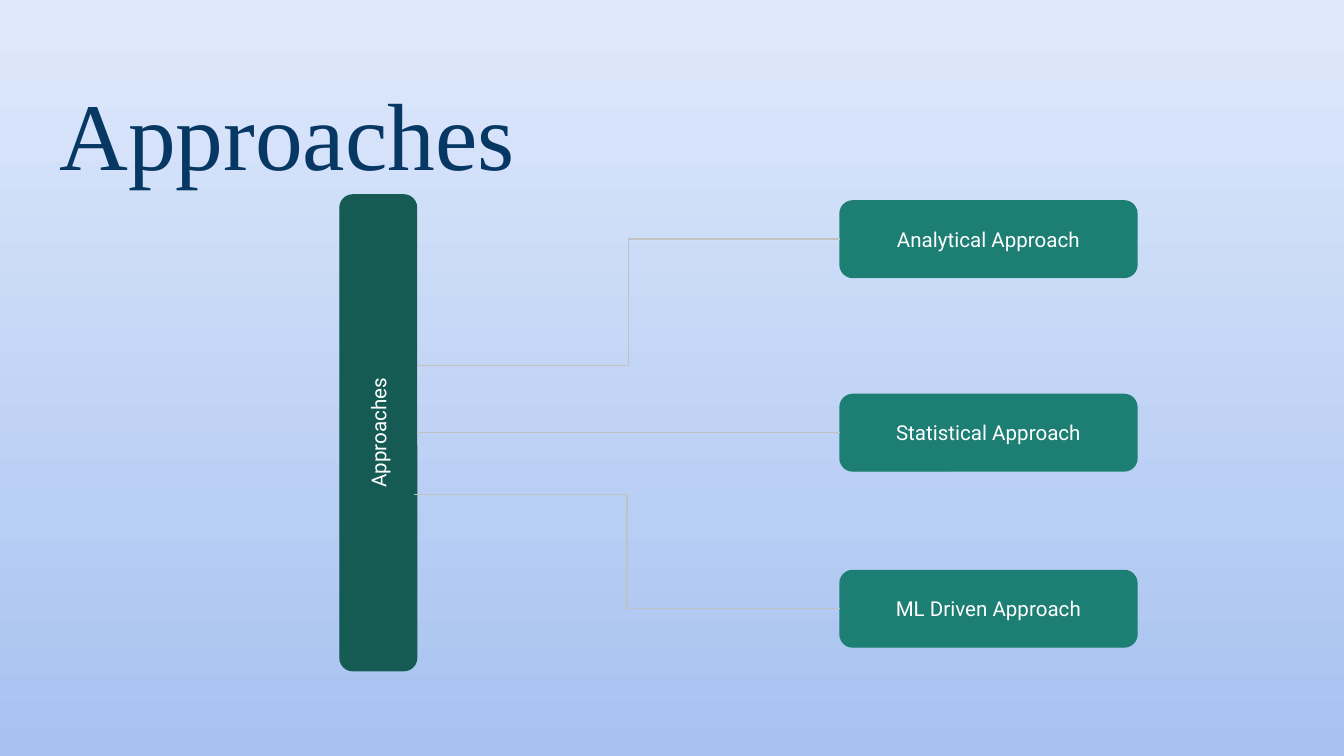
from collections import namedtuple
from dataclasses import dataclass

from lxml import etree
from pptx import Presentation
from pptx import util as u
from pptx.dml.color import RGBColor
from pptx.enum import shapes, text
from pptx.oxml.ns import qn

Box = namedtuple("Box", "left top width height")


@dataclass(frozen=True)
class Theme:
    sky_top: str = "DFE9FB"
    sky_bottom: str = "A7C2F1"
    title: str = "073763"
    root: str = "155B54"
    branch: str = "1D7E74"
    label: str = "FFFFFF"
    link: str = "C2C2C2"
    title_font: str = "Times New Roman"
    label_font: str = "Roboto"
    title_size: float = 51.1
    label_size: float = 11
    line_width: float = 0.75


THEME = Theme()


def set_margins(frame):
    frame.margin_left = frame.margin_right = u.Inches(0.1)
    frame.margin_top = frame.margin_bottom = u.Inches(0.1)


def add_run(para, words, font, size, color):
    span = para.add_run()
    span.text = words
    span.font.name = font
    span.font.size = u.Pt(size)
    span.font.color.rgb = RGBColor.from_string(color)


def set_background(page):
    fill = page.background.fill
    fill.gradient()
    fill.gradient_angle = 270
    for stop, color in zip(fill.gradient_stops, (THEME.sky_top, THEME.sky_bottom)):
        stop.color.rgb = RGBColor.from_string(color)


def add_title(page, box, words):
    title = page.shapes.title
    title.left, title.top, title.width, title.height = map(u.Inches, box)
    frame = title.text_frame
    frame.auto_size = text.MSO_AUTO_SIZE.NONE
    frame.vertical_anchor = text.MSO_ANCHOR.TOP
    set_margins(frame)
    para = frame.paragraphs[0]
    para.alignment = text.PP_ALIGN.LEFT
    add_run(para, words, THEME.title_font, THEME.title_size, THEME.title)


def add_card(page, box, words, color):
    card = page.shapes.add_shape(
        shapes.MSO_SHAPE.ROUNDED_RECTANGLE, *map(u.Inches, box))
    card.shadow.inherit = False
    card.fill.solid()
    card.fill.fore_color.rgb = RGBColor.from_string(color)
    card.line.color.rgb = RGBColor.from_string(color)
    card.line.width = u.Pt(THEME.line_width)
    frame = card.text_frame
    frame.word_wrap = True
    frame.vertical_anchor = text.MSO_ANCHOR.MIDDLE
    set_margins(frame)
    para = frame.paragraphs[0]
    para.alignment = text.PP_ALIGN.CENTER
    add_run(para, words, THEME.label_font, THEME.label_size, THEME.label)
    return card


def add_link(page, kind, start, end):
    link = page.shapes.add_connector(kind, *map(u.Inches, start + end))
    link.line.color.rgb = RGBColor.from_string(THEME.link)
    link.line.width = u.Pt(THEME.line_width)
    etree.SubElement(link._element.spPr, qn("a:effectLst"))
    return link


def add_tree(page, box, root_words, branches):
    """Draw an upright root bar linked to cards given as (words, centre, link start).

    Centres and link starts are measured from the middle of the bar's right side.
    """
    thick, card_width = 0.57, 2.21
    bar_right = box.left + thick
    middle = box.top + box.height / 2
    # The bar is a lying card turned upright about its centre.
    bar_box = Box(box.left + (thick - box.height) / 2, middle - thick / 2,
                  box.height, thick)
    bar = add_card(page, bar_box, root_words, THEME.root)
    bar.rotation = 270

    card_left = box.left + box.width - card_width
    for words, centre, (start_dx, start_dy) in branches:
        card_middle = middle + centre
        card_box = Box(card_left, card_middle - thick / 2, card_width, thick)
        card = add_card(page, card_box, words, THEME.branch)
        start = (bar_right + start_dx, middle + start_dy)
        end = (card_left, card_middle)
        if centre:
            add_link(page, shapes.MSO_CONNECTOR.ELBOW, start, end)
        else:
            link = add_link(page, shapes.MSO_CONNECTOR.STRAIGHT, start, end)
            link.begin_connect(bar, 2)
            # The bar's turned bottom is its right side.
            link.begin_x, link.begin_y = map(u.Inches, start)
            link.end_connect(card, 1)


def main():
    deck = Presentation()
    deck.slide_width = u.Inches(10)
    deck.slide_height = deck.slide_width * 9 // 16
    page = deck.slides.add_slide(deck.slide_layouts[5])
    set_background(page)
    add_title(page, Box(0.34, 0.46, 9.32, 0.63), "Approaches")
    add_tree(page, Box(2.53, 1.45, 5.93, 3.54), "Approaches", [
        ("Analytical Approach", -1.44, (0, -0.5)),
        ("Statistical Approach", 0, (0, 0)),
        ("ML Driven Approach", 1.31, (-0.02, 0.46)),
    ])
    deck.save("out.pptx")


if __name__ == "__main__":
    main()
